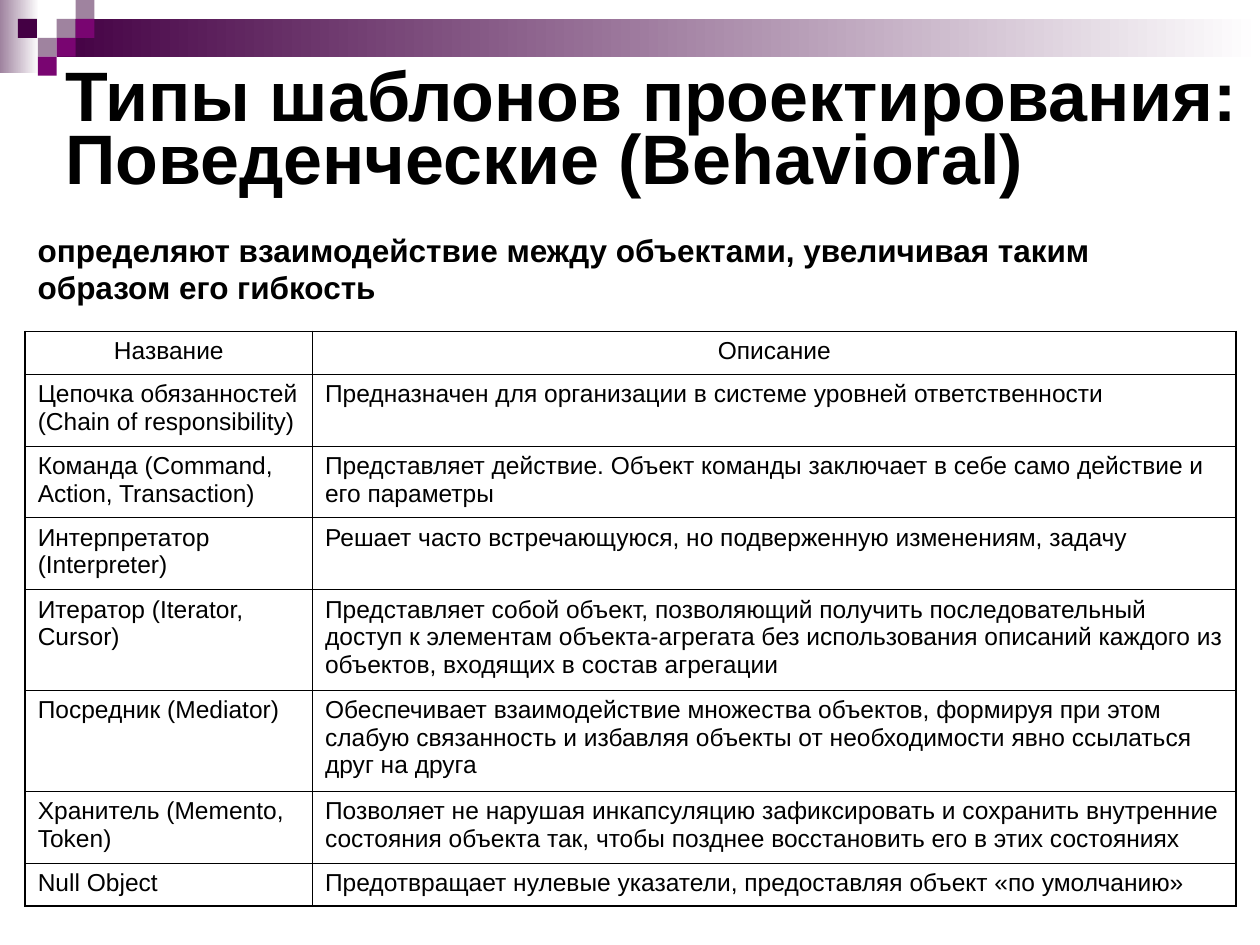
from typing import NamedTuple

from lxml.etree import SubElement
from pptx import Presentation
from pptx.dml.color import RGBColor
from pptx.enum.shapes import MSO_SHAPE
from pptx.enum.text import MSO_ANCHOR, MSO_AUTO_SIZE, PP_ALIGN
from pptx.oxml.ns import qn
from pptx.util import Inches, Pt

WIDE, HIGH = 10, 7.5
UNIT = 0.15  # side of one square of the corner pattern
LEFT, SPAN = 0.02 * WIDE, 0.961 * WIDE  # shared by the lead and the table
DARK, MID, PALE, WHITE, BLACK = "440044", "790571", "9F839F", "FFFFFF", "000000"
THICK, THIN = 1.08, 0.45


class Tile(NamedTuple):
    """A block of the pattern, in columns and rows of UNIT."""
    col: float
    row: float
    color: str
    cols: float = 1
    rows: float = 1
    fade: bool = False


class Row(NamedTuple):
    name: str
    about: str
    high: float


TILES = [
    Tile(0, 0, PALE, 2.07, 3.87, True),
    Tile(3, 1, DARK, WIDE / UNIT - 3, 2, True),
    Tile(3, 1, PALE),
    Tile(4, 0, PALE),
    Tile(4, 1, MID),
    Tile(2, 2, PALE),
    Tile(0.95, 1, DARK),
    Tile(3, 2, MID),
    Tile(2, 3, MID),
]

ONE, TWO, THREE = 0.34, 0.57, 0.8  # row heights by number of text lines
ROWS = [
    Row("Название", "Описание", ONE),
    Row("Цепочка обязанностей (Chain of responsibility)",
        "Предназначен для организации в системе уровней ответственности", TWO),
    Row("Команда (Command, Action, Transaction)",
        "Представляет действие. Объект команды заключает в себе само действие "
        "и его параметры", TWO),
    Row("Интерпретатор (Interpreter)",
        "Решает часто встречающуюся, но подверженную изменениям, задачу", TWO),
    Row("Итератор (Iterator, Cursor)",
        "Представляет собой объект, позволяющий получить последовательный "
        "доступ к элементам объекта-агрегата без использования описаний "
        "каждого из объектов, входящих в состав агрегации", THREE),
    Row("Посредник (Mediator)",
        "Обеспечивает взаимодействие множества объектов, формируя при этом "
        "слабую связанность и избавляя объекты от необходимости явно "
        "ссылаться друг на друга", THREE),
    Row("Хранитель (Memento, Token)",
        "Позволяет не нарушая инкапсуляцию зафиксировать и сохранить "
        "внутренние состояния объекта так, чтобы позднее восстановить его в "
        "этих состояниях", TWO),
    Row("Null Object",
        "Предотвращает нулевые указатели, предоставляя объект «по умолчанию»",
        ONE),
]


def tint(part, color: str) -> None:
    part.rgb = RGBColor.from_string(color)


def write(frame, text: str, *, size: float, bold: bool = False,
          align=PP_ALIGN.LEFT, before: float = 0, lines: float = 1) -> None:
    frame.word_wrap = True
    para = frame.paragraphs[0]
    para.alignment, para.line_spacing = align, lines
    para.space_before = Pt(before)
    run = para.add_run()
    run.text = text
    run.font.name, run.font.size, run.font.bold = "Arial", Pt(size), bold
    tint(run.font.color, BLACK)


def draw_tile(slide, tile: Tile) -> None:
    box = [Inches(n * UNIT) for n in (tile.col, tile.row, tile.cols, tile.rows)]
    shape = slide.shapes.add_shape(MSO_SHAPE.RECTANGLE, *box)
    shape.shadow.inherit = False
    shape.line.fill.background()
    if tile.fade:
        shape.fill.gradient()
        shape.fill.gradient_angle = 180
        for stop, color in zip(shape.fill.gradient_stops, (WHITE, tile.color)):
            tint(stop.color, color)
    else:
        shape.fill.solid()
        tint(shape.fill.fore_color, tile.color)


def edge(cell, side: str, width: float) -> None:
    line = SubElement(cell._tc.get_or_add_tcPr(), qn(f"a:ln{side}"),
                      w=str(Pt(width)))
    SubElement(SubElement(line, qn("a:solidFill")), qn("a:srgbClr"), val=BLACK)


def draw_title(slide, text: str) -> None:
    title = slide.shapes.title
    title.left, title.top = Inches(0.05 * WIDE), Inches(0.5)
    title.width, title.height = Inches(0.95 * WIDE), Inches(0.15 * HIGH)
    frame = title.text_frame
    frame.auto_size = MSO_AUTO_SIZE.NONE
    frame.vertical_anchor = MSO_ANCHOR.MIDDLE
    frame.margin_left = frame.margin_right = Inches(0.02)
    frame.margin_top = frame.margin_bottom = Inches(0.01)
    write(frame, text, size=40, bold=True, lines=0.75)
    # Bring the title in front of the pattern
    title.element.getparent().append(title.element)


def draw_table(slide, rows: list[Row], top: float) -> None:
    high = sum(row.high for row in rows)
    table = slide.shapes.add_table(len(rows), 2, Inches(LEFT), Inches(top),
                                   Inches(SPAN), Inches(high)).table
    table.first_row = table.horz_banding = False
    table.columns[0].width = Inches(2.28)
    table.columns[1].width = Inches(SPAN - 2.28)
    last = len(rows) - 1
    for r, row in enumerate(rows):
        table.rows[r].height = Inches(row.high)
        for c, text in enumerate((row.name, row.about)):
            cell = table.cell(r, c)
            write(cell.text_frame, text, size=14, before=3.5,
                  align=PP_ALIGN.LEFT if r else PP_ALIGN.CENTER)
            # Thick frame outside, thin rules inside
            outer = {"L": c == 0, "R": c == 1, "T": r == 0, "B": r == last}
            for side, out in outer.items():
                edge(cell, side, THICK if out else THIN)
            cell.fill.background()


def main() -> None:
    deck = Presentation()
    deck.slide_width, deck.slide_height = Inches(WIDE), Inches(HIGH)
    slide = deck.slides.add_slide(deck.slide_layouts[5])

    # Corner pattern and band
    for tile in TILES:
        draw_tile(slide, tile)

    draw_title(slide, "Типы шаблонов проектирования: Поведенческие (Behavioral)")
    draw_table(slide, ROWS, top=2.63)

    # Lead above the table
    lead = slide.shapes.add_textbox(Inches(LEFT), Inches(1.78),
                                    Inches(SPAN), Inches(0.7))
    lead.text_frame.vertical_anchor = MSO_ANCHOR.MIDDLE
    write(lead.text_frame, "определяют взаимодействие между объектами, "
          "увеличивая таким образом его гибкость", size=18, bold=True)

    deck.save("out.pptx")


if __name__ == "__main__":
    main()
